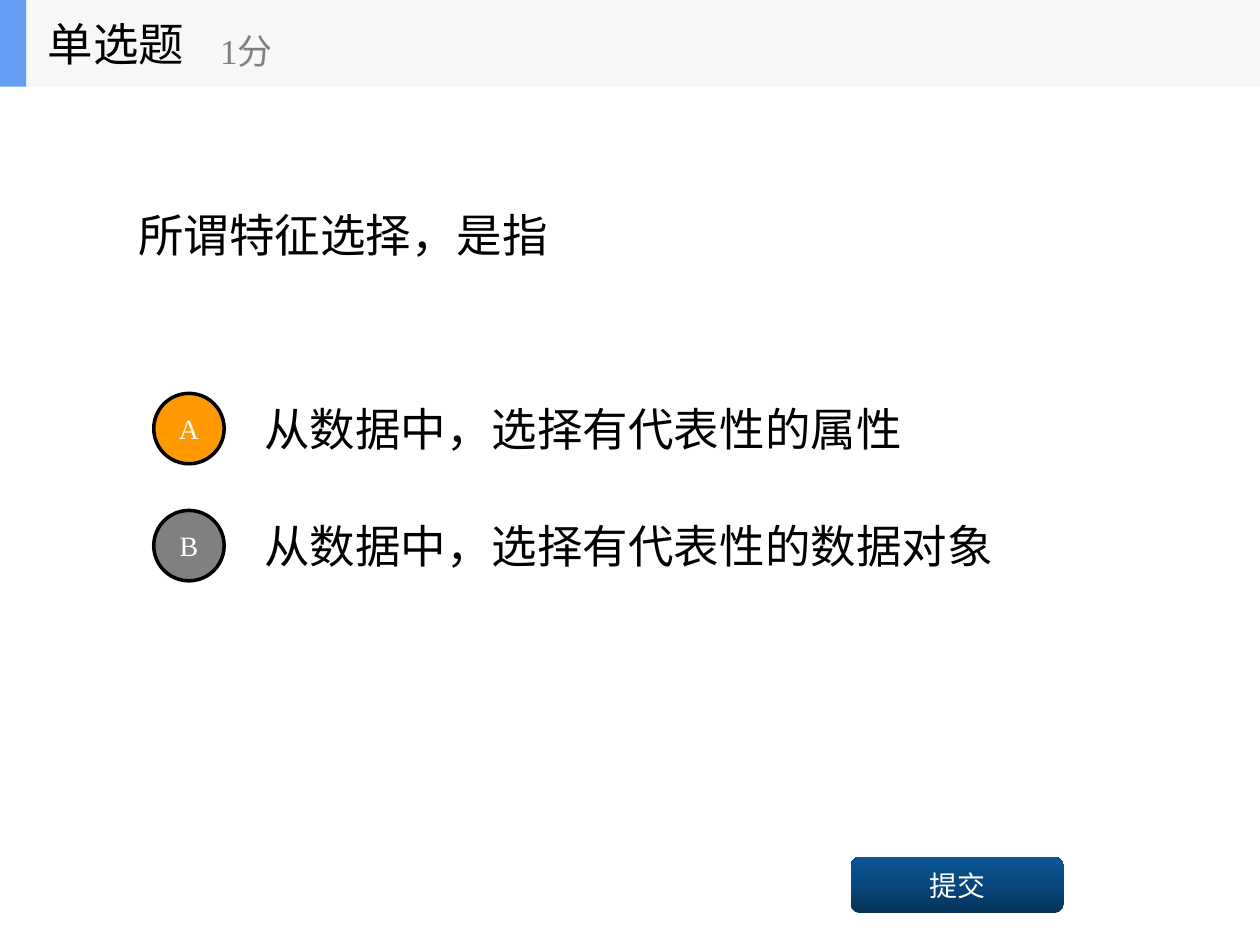
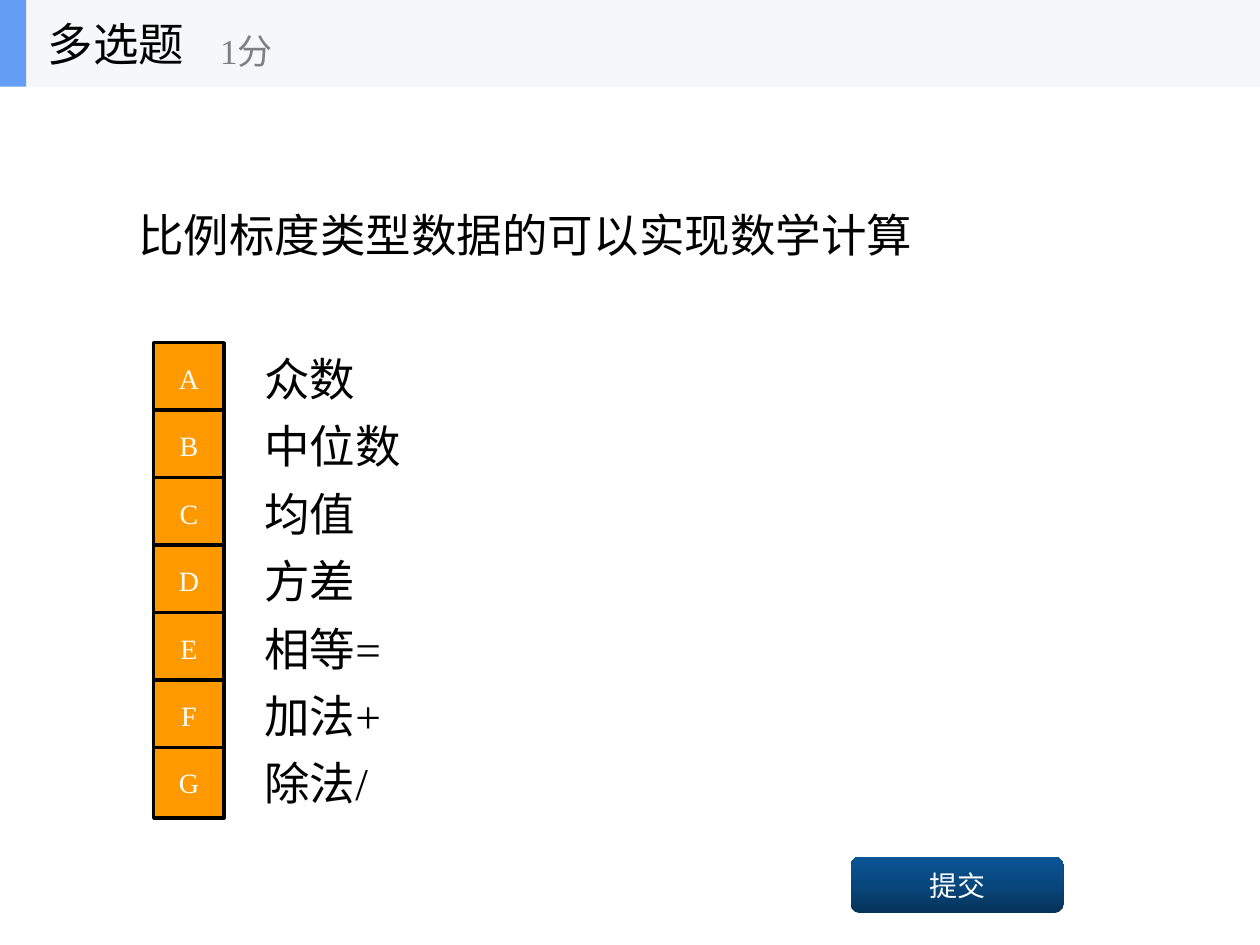
"""Build two quiz slides: a single-choice and a multiple-choice question."""
from copy import deepcopy
from dataclasses import dataclass
from typing import NamedTuple

from pptx import Presentation
from pptx.dml.color import RGBColor
from pptx.enum.shapes import MSO_SHAPE
from pptx.enum.text import MSO_ANCHOR, MSO_AUTO_SIZE, PP_ALIGN
from pptx.oxml.ns import qn
from pptx.util import Cm, Pt


@dataclass(frozen=True)
class Theme:
    """Colours, font and type sizes shared by the slides."""
    font: str = "Times New Roman"
    ink: str = "000000"
    muted: str = "808080"
    light: str = "FFFFFF"
    band: str = "F6F7F8"
    accent: str = "639EF4"
    right: str = "FF9900"
    wrong: str = "808080"
    button: tuple = ("063258", "08477E", "0A5595")
    large: int = 26
    medium: int = 20
    small: int = 16


class Box(NamedTuple):
    """A rectangle in centimetres."""
    left: float
    top: float
    width: float
    height: float

    def inner(self, left, top, width, height):
        """Return a box placed relative to this one."""
        return Box(self.left + left, self.top + top, width, height)

    def lengths(self):
        """Return the four sides as lengths."""
        return [Cm(side) for side in self]


THEME = Theme()
HEADER = Box(0, 0, 25.4, 1.75)
QUESTION = Box(2.54, 1.75, 20.32, 5.94)
SUBMIT = Box(17.15, 17.27, 4.29, 1.14)
ROW_LEFT, ROW_WIDTH, ROW_HEIGHT = 3.1, 19.76, 1.78
BADGE = 1.42

QUIZZES = [
    dict(kind="单选题", question="所谓特征选择，是指",
         options=["从数据中，选择有代表性的属性", "从数据中，选择有代表性的数据对象"],
         answers="A", badge=MSO_SHAPE.OVAL, top=7.75, pitch=2.36),
    dict(kind="多选题", question="比例标度类型数据的可以实现数学计算",
         options=["众数", "中位数", "均值", "方差", "相等=", "加法+", "除法/"],
         answers="ABCDEFG", badge=MSO_SHAPE.RECTANGLE, top=6.73, pitch=1.36),
]


def rgb(code):
    """Turn a hex code into a colour."""
    return RGBColor.from_string(code)


def write(shape, text, size, color, align=PP_ALIGN.LEFT):
    """Fill a shape with one vertically centred paragraph."""
    frame = shape.text_frame
    frame.text = text
    frame.word_wrap = True
    frame.auto_size = MSO_AUTO_SIZE.NONE
    frame.vertical_anchor = MSO_ANCHOR.MIDDLE
    para = frame.paragraphs[0]
    para.alignment = align
    para.font.name = THEME.font
    para.font.size = Pt(size)
    para.font.color.rgb = rgb(color)


def add_text(slide, box, text, size=THEME.large, color=THEME.ink):
    """Add a text box."""
    write(slide.shapes.add_textbox(*box.lengths()), text, size, color)


def add_block(slide, box, kind, color=None):
    """Add a flat shape without outline or shadow."""
    shape = slide.shapes.add_shape(kind, *box.lengths())
    shape.shadow.inherit = False
    shape.line.fill.background()
    if color:
        shape.fill.solid()
        shape.fill.fore_color.rgb = rgb(color)
    return shape


def add_header(slide, box, kind):
    """Add the top band with the question type and the score."""
    add_block(slide, box, MSO_SHAPE.RECTANGLE, THEME.band)
    add_block(slide, box.inner(0, 0, 0.53, box.height), MSO_SHAPE.RECTANGLE, THEME.accent)
    title = slide.shapes.title
    title.element.getparent().append(title.element)
    place = box.inner(0.71, 0, 5.28, box.height).lengths()
    title.left, title.top, title.width, title.height = place
    write(title, kind, THEME.large, THEME.ink)
    add_text(slide, box.inner(4.19, 0.3, 6.35, 1.42), "1分", THEME.medium, THEME.muted)


def add_option(slide, box, kind, letter, text, color):
    """Add one answer row: a lettered badge and its text."""
    gap = (box.height - BADGE) / 2
    badge = add_block(slide, box.inner(0, gap, BADGE, BADGE), kind, color)
    badge.line.color.rgb = rgb(THEME.ink)
    badge.line.width = Pt(2)
    write(badge, letter, THEME.small, THEME.light, PP_ALIGN.CENTER)
    indent = 1.98
    add_text(slide, box.inner(indent, 0, box.width - indent, box.height), text)


def add_submit(slide, box):
    """Add the submit button with its three-stop gradient."""
    button = add_block(slide, box, MSO_SHAPE.ROUNDED_RECTANGLE)
    fill = button.fill
    fill.gradient()
    fill.gradient_angle = 90
    stops = button.element.spPr.find(qn("a:gradFill")).find(qn("a:gsLst"))
    stops.insert(1, deepcopy(stops[0]))
    for index, (stop, color) in enumerate(zip(fill.gradient_stops, THEME.button)):
        stop.position = index / 2
        stop.color.rgb = rgb(color)
    write(button, "提交", THEME.small, THEME.light, PP_ALIGN.CENTER)


def add_quiz(deck, kind, question, options, answers, badge, top, pitch):
    """Add one question slide."""
    slide = deck.slides.add_slide(deck.slide_layouts.get_by_name("Title Only"))
    add_text(slide, QUESTION, question)
    for index, (letter, text) in enumerate(zip("ABCDEFG", options)):
        row = Box(ROW_LEFT, top + index * pitch, ROW_WIDTH, ROW_HEIGHT)
        color = THEME.right if letter in answers else THEME.wrong
        add_option(slide, row, badge, letter, text, color)
    add_submit(slide, SUBMIT)
    add_header(slide, HEADER, kind)


def main():
    """Build and save the deck."""
    deck = Presentation()
    deck.slide_width, deck.slide_height = Cm(25.4), Cm(19.05)
    for quiz in QUIZZES:
        add_quiz(deck, **quiz)
    deck.save("out.pptx")


if __name__ == "__main__":
    main()
